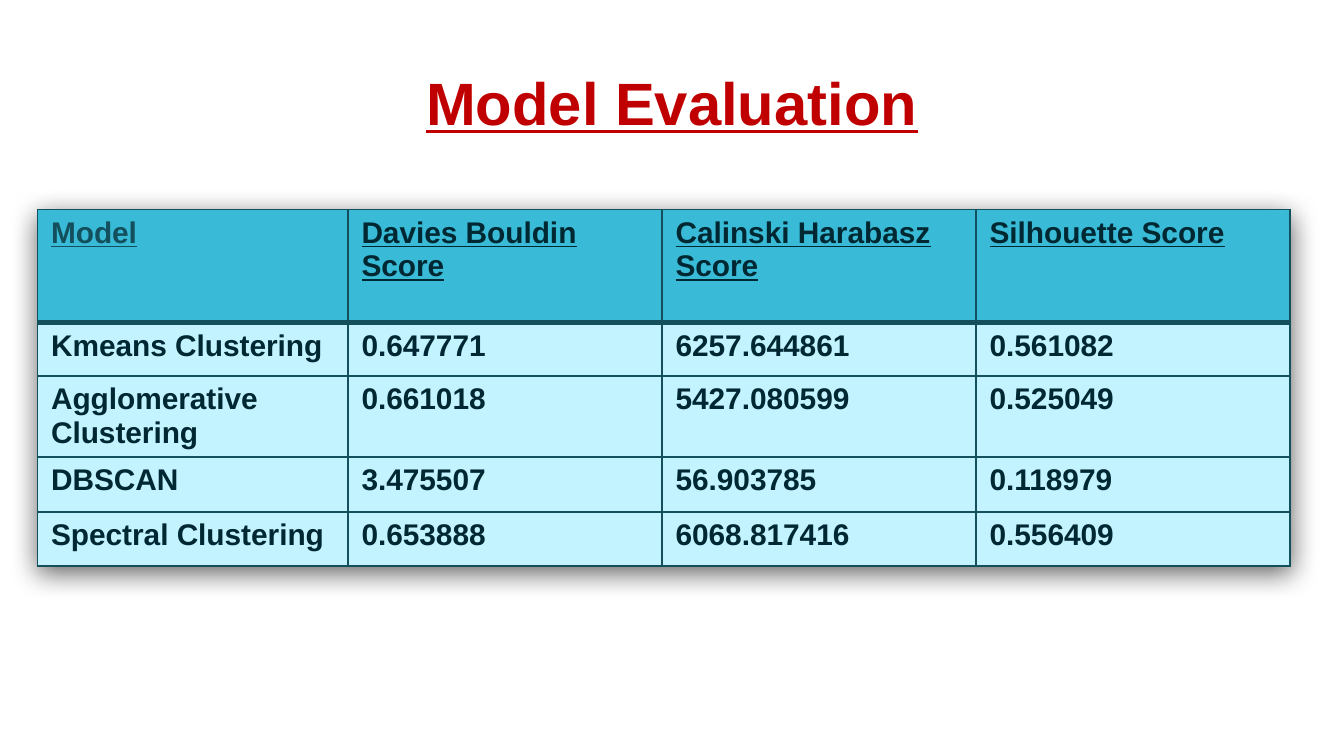
from lxml import etree
from pptx import Presentation
from pptx.dml.color import RGBColor
from pptx.enum.text import MSO_ANCHOR, MSO_AUTO_SIZE, PP_ALIGN
from pptx.oxml import parse_xml
from pptx.oxml.ns import qn
from pptx.util import Inches, Pt

BOTTOM = MSO_ANCHOR.BOTTOM
NO_FIT = MSO_AUTO_SIZE.NONE
CENTER = PP_ALIGN.CENTER

RED = RGBColor(0xC0, 0x00, 0x00)
TEAL = RGBColor(0x13, 0x4F, 0x5C)
INK = RGBColor(0x00, 0x28, 0x32)
HEADER_FILL = RGBColor(0x39, 0xBA, 0xD6)
BODY_FILL = RGBColor(0xC3, 0xF3, 0xFF)
BLACK = RGBColor(0x00, 0x00, 0x00)

DRAWING_NS = "http://schemas.openxmlformats.org/drawingml/2006/main"
SCORES = [
    ["Model", "Davies Bouldin Score", "Calinski Harabasz Score", "Silhouette Score"],
    ["Kmeans Clustering", "0.647771", "6257.644861", "0.561082"],
    ["Agglomerative Clustering", "0.661018", "5427.080599", "0.525049"],
    ["DBSCAN", "3.475507", "56.903785", "0.118979"],
    ["Spectral Clustering", "0.653888", "6068.817416", "0.556409"],
]
CONTENT_WIDTH = 9.32
MODEL_WIDTH = 2.31
COLUMN_WIDTHS = [MODEL_WIDTH] + [(CONTENT_WIDTH - MODEL_WIDTH) / 3] * 3
ROW_HEIGHTS = [0.84, 0.4, 0.6, 0.41, 0.4]


class SlideWriter:
    """Holds the text style and the current slide."""

    font_name = "Arial"

    def __init__(self, page):
        self.page = page

    def style(self, para, size, color, underline):
        font = para.font
        font.name = self.font_name
        font.size = Pt(size)
        font.bold = True
        font.underline = underline
        font.color.rgb = color

    def title(self, text, left, top, width, height):
        box = self.page.shapes.title
        box.left, box.top = Inches(left), Inches(top)
        box.width, box.height = Inches(width), Inches(height)
        frame = box.text_frame
        frame.text = text
        frame.word_wrap = True
        frame.auto_size = NO_FIT
        frame.vertical_anchor = BOTTOM
        frame.margin_left = frame.margin_right = Inches(0.1)
        frame.margin_top = frame.margin_bottom = Inches(0.1)
        para = frame.paragraphs[0]
        para.alignment = CENTER
        self.style(para, 32, RED, True)

    def borders(self, cell, widths):
        properties = cell._tc.get_or_add_tcPr()
        for index, (side, width) in enumerate(widths.items()):
            line = parse_xml(
                f'<a:{side} xmlns:a="{DRAWING_NS}" w="{Pt(width)}"><a:solidFill>'
                f'<a:srgbClr val="{TEAL}"/></a:solidFill></a:{side}>'
            )
            properties.insert(index, line)

    def shadow(self, table):
        properties = table._tbl.tblPr
        effects = etree.Element(qn("a:effectLst"))
        outer = etree.SubElement(
            effects, qn("a:outerShdw"), blurRad=str(Inches(0.2)),
            dist=str(Inches(0.05)), dir="5400000", rotWithShape="0",
        )
        color = etree.SubElement(outer, qn("a:srgbClr"), val=str(BLACK))
        etree.SubElement(color, qn("a:alpha"), val="60000")
        properties.insert(0, effects)

    def table(self, rows, left, top, widths, heights):
        table = self.page.shapes.add_table(
            len(rows), len(widths), Inches(left), Inches(top),
            Inches(sum(widths)), Inches(sum(heights)),
        ).table
        self.shadow(table)
        for column, width in zip(table.columns, widths):
            column.width = Inches(width)
        for row, height in zip(table.rows, heights):
            row.height = Inches(height)
        for r, texts in enumerate(rows):
            for c, text in enumerate(texts):
                cell = table.cell(r, c)
                cell.text = text
                cell.fill.solid()
                cell.fill.fore_color.rgb = BODY_FILL if r else HEADER_FILL
                color = TEAL if r == c == 0 else INK
                self.style(cell.text_frame.paragraphs[0], 16, color, r == 0)
                self.borders(cell, {
                    "lnL": 1, "lnR": 1,
                    "lnT": 3 if r == 1 else 1, "lnB": 3 if r == 0 else 1,
                })


def main():
    deck = Presentation()
    deck.slide_width = Inches(10)
    deck.slide_height = deck.slide_width * 9 // 16
    writer = SlideWriter(deck.slides.add_slide(deck.slide_layouts[5]))
    writer.title("Model Evaluation", 0.34, 0.49, CONTENT_WIDTH, 0.63)
    writer.table(SCORES, 0.28, 1.56, COLUMN_WIDTHS, ROW_HEIGHTS)
    deck.save("out.pptx")


if __name__ == "__main__":
    main()
